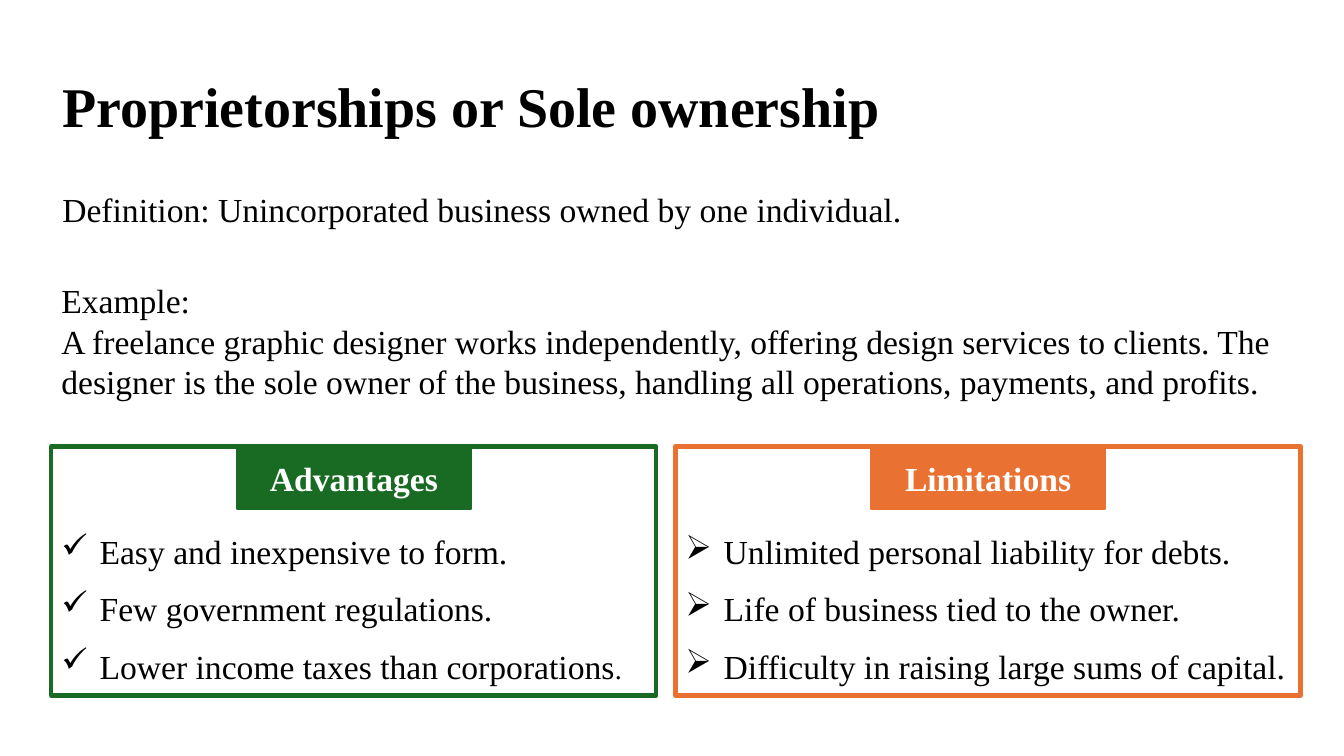
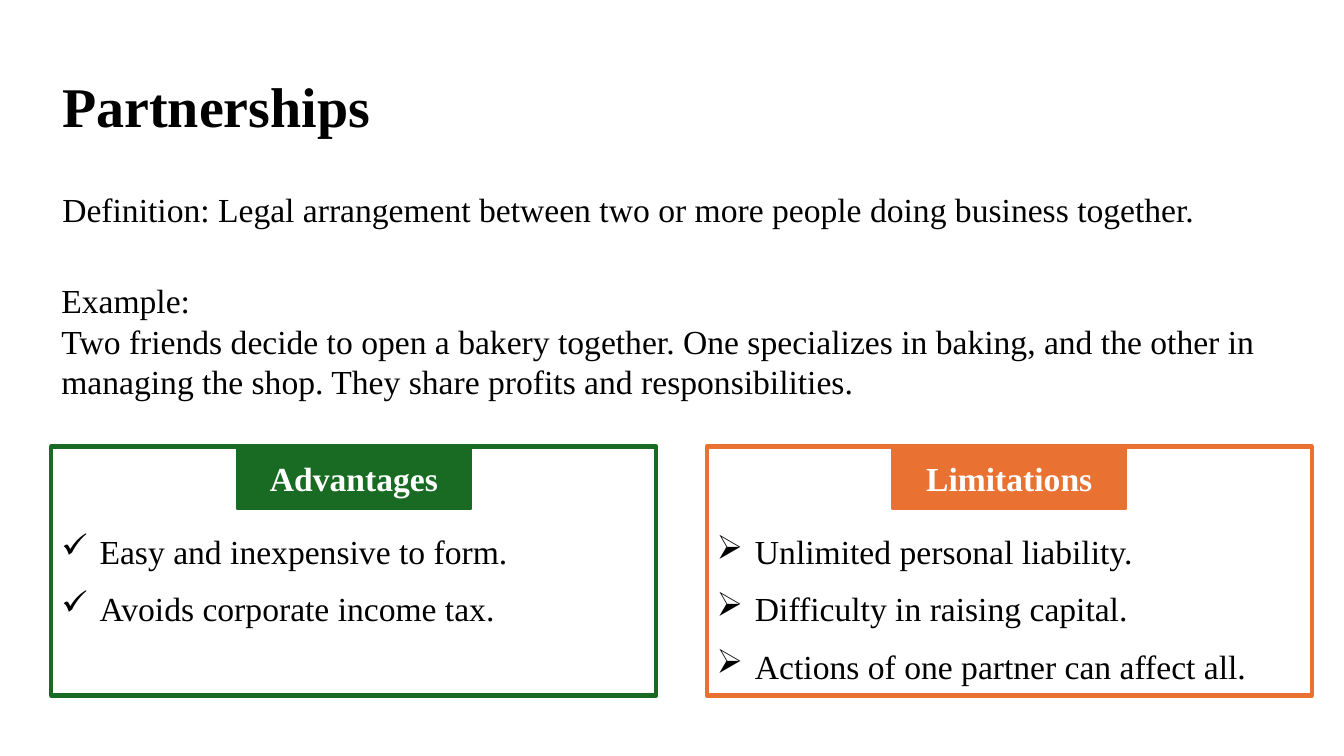
"""Build two slides on forms of business ownership."""
from lxml.etree import SubElement
from pptx import Presentation
from pptx.dml.color import RGBColor
from pptx.enum.shapes import MSO_SHAPE
from pptx.enum.text import MSO_ANCHOR, PP_ALIGN
from pptx.oxml.ns import qn
from pptx.util import Inches, Pt

FONT = "Times New Roman"
BLACK, WHITE, GREEN, ORANGE = "000000", "FFFFFF", "196B24", "E97132"
PANEL_TOP, PANEL_HEIGHT = 4.43, 2.47
LABEL_WIDTH, LABEL_HEIGHT = 2.32, 0.62

SLIDES = [
    {
        "title": "Proprietorships or Sole ownership",
        "definition": "Definition: Unincorporated business owned by one individual.",
        "example": "A freelance graphic designer works independently, offering design services "
                   "to clients. The designer is the sole owner of the business, handling all "
                   "operations, payments, and profits.",
        "panels": [
            ("Advantages", GREEN, "✓", 0.51, 6, [
                [("Easy and inexpensive to form.", 24)],
                [("Few government regulations.", 24)],
                [("Lower income taxes than corporations", 24), (".", 20)],
            ]),
            ("Limitations", ORANGE, "➢", 6.7, 6.2, [
                [("Unlimited personal liability for debts.", 24)],
                [("Life of business tied to the owner.", 24)],
                [("Difficulty in raising large sums of capital.", 24)],
            ]),
        ],
    },
    {
        "title": "Partnerships",
        "definition": "Definition: Legal arrangement between two or more people doing "
                      "business together.",
        "example": "Two friends decide to open a bakery together. One specializes in baking, "
                   "and the other in managing the shop. They share profits and "
                   "responsibilities.",
        "panels": [
            ("Advantages", GREEN, "✓", 0.51, 6, [
                [("Easy and inexpensive to form.", 24)],
                [("Avoids corporate income tax.", 24)],
            ]),
            ("Limitations", ORANGE, "➢", 7.01, 6, [
                [("Unlimited personal liability.", 24)],
                [("Difficulty in raising capital.", 24)],
                [("Actions of one partner can affect all.", 24)],
            ]),
        ],
    },
]


def add_rect(s, left, width, height, fill, line, weight):
    """Add a flat rectangle hanging from the top edge of the panels."""
    sp = s.shapes.add_shape(MSO_SHAPE.RECTANGLE, Inches(left), Inches(PANEL_TOP),
                            Inches(width), Inches(height))
    sp.shadow.inherit = False
    sp.fill.solid()
    sp.fill.fore_color.rgb = RGBColor.from_string(fill)
    sp.line.color.rgb = RGBColor.from_string(line)
    sp.line.width = Pt(weight)
    return sp


def write(sp, paragraphs, color=BLACK, bold=False, align=PP_ALIGN.LEFT,
          anchor=MSO_ANCHOR.TOP, bullet=None):
    """Fill a shape with paragraphs, each a list of (text, size) runs."""
    tf = sp.text_frame
    tf.word_wrap = True
    tf.vertical_anchor = anchor
    for i, runs in enumerate(paragraphs):
        p = tf.add_paragraph() if i else tf.paragraphs[0]
        p.alignment = align
        if bullet:
            p.space_before = Pt(6 if i else 0)
            p.space_after = Pt(6)
            pPr = p._p.get_or_add_pPr()
            pPr.set("marL", str(Inches(0.38)))
            pPr.set("indent", str(-Inches(0.38)))
            SubElement(pPr, qn("a:buChar")).set("char", bullet)
        for text, size in runs:
            r = p.add_run()
            r.text = text
            r.font.name = FONT
            r.font.size = Pt(size)
            r.font.bold = bold
            r.font.color.rgb = RGBColor.from_string(color)


prs = Presentation()
prs.slide_width, prs.slide_height = Inches(13.33), Inches(7.5)

for content in SLIDES:
    s = prs.slides.add_slide(prs.slide_layouts[6])

    title = s.shapes.add_textbox(Inches(0.52), Inches(0.6), Inches(11.89), Inches(0.83))
    write(title, [[(content["title"], 40)]], bold=True, anchor=MSO_ANCHOR.BOTTOM)
    title.text_frame.paragraphs[0].line_spacing = 0.9

    definition = s.shapes.add_textbox(Inches(0.52), Inches(1.83), Inches(12.37), Inches(0.5))
    write(definition, [[(content["definition"], 24)]])

    example = s.shapes.add_textbox(Inches(0.51), Inches(2.73), Inches(12.38), Inches(1.31))
    write(example, [[("Example:", 24)], [(content["example"], 24)]])

    for name, color, bullet, left, width, points in content["panels"]:
        panel = add_rect(s, left, width, PANEL_HEIGHT, WHITE, color, 3)
        panel.text_frame.margin_top = Inches(0.84)
        write(panel, points, bullet=bullet)

        label_left = left + (width - LABEL_WIDTH) / 2
        label = add_rect(s, label_left, LABEL_WIDTH, LABEL_HEIGHT, color, color, 1.5)
        write(label, [[(name, 24)]], WHITE, True, PP_ALIGN.CENTER, MSO_ANCHOR.MIDDLE)

prs.save("out.pptx")
